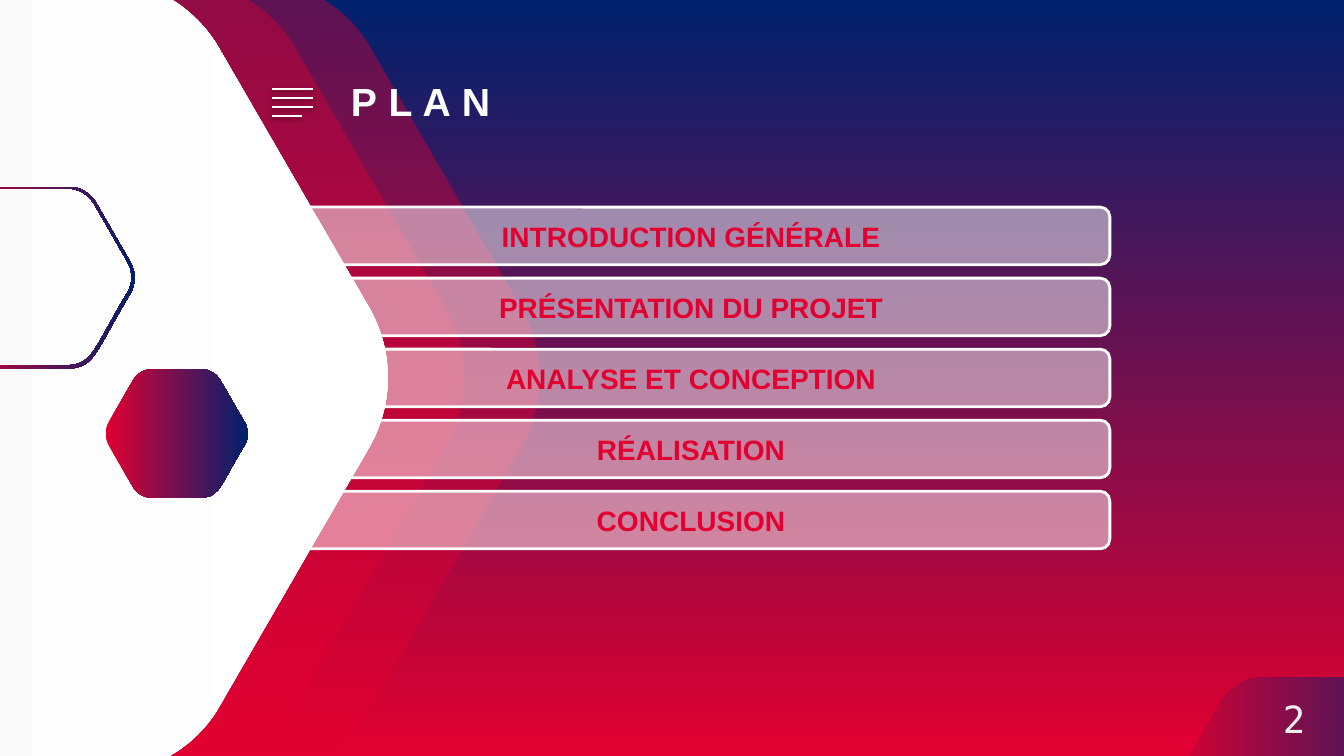
from dataclasses import dataclass

from lxml import etree
from pptx import Presentation
from pptx import util as u
from pptx.dml.color import RGBColor
from pptx.enum import shapes, text
from pptx.oxml.ns import qn

TITLE = "P L A N"
CHAPTERS = [
    "INTRODUCTION GÉNÉRALE",
    "PRÉSENTATION DU PROJET",
    "ANALYSE ET CONCEPTION",
    "RÉALISATION",
    "CONCLUSION",
]
PAGE = "2"


@dataclass(frozen=True)
class Theme:
    navy: str = "00216E"
    red: str = "E20030"
    white: str = "FFFFFF"
    grey: str = "EFEFEF"
    title_color: str = "FEFEFD"
    font: str = "Arial"
    page_font: str = "DejaVu Sans Mono"
    title_size: float = 28
    chapter_size: float = 20
    page_size: float = 26.7


T = Theme()

# Rounded hexagon in cm: steps of one point are lines, of three points are curves.
HEX_WIDTH, HEX_MIDDLE = 22.4, 9.5
HEX_START = (7.44, 0)
HEX_STEPS = [
    [(6.2, 0), (5.03, 0.69), (4.39, 1.78)],
    [(0.64, 8.28)],
    [(0, 9.37), (0, 10.72), (0.64, 11.81)],
    [(1.6, 13.41), (2.31, 14.71), (2.9, 15.75)],
    [(5.06, 19.63), (5.31, 20.09), (8.81, 20.09)],
    [(9.3, 20.09), (9.83, 20.07), (10.44, 20.07)],
    [(11.2, 20.04), (12.12, 20.04), (13.18, 20.04)],
    [(13.72, 20.04), (14.33, 20.04), (14.96, 20.04)],
    [(16.23, 20.04), (17.4, 19.4), (18.01, 18.31)],
    [(21.77, 11.81)],
    [(22.4, 10.72), (22.4, 9.37), (21.77, 8.28)],
    [(18.01, 1.78)],
    [(17.4, 0.69), (16.23, 0), (14.96, 0)],
]

# Contours are (left, top, width, stretch, flipped); two colours run left to right.
HEXAGONS = [
    {"contours": [(-8.64, -0.53, 22.4, 0, False)], "colors": [T.red], "opacity": 41},
    {"contours": [(-10.54, -0.53, 22.4, 0, False)], "colors": [T.red], "opacity": 41},
    {"contours": [(29.16, 17.07, 8.1, 0, False)], "colors": [T.red, T.navy]},
    {"contours": [(-26.59, -0.53, 22.4, 14.12, False)], "colors": [T.grey, T.white]},
    {"contours": [(-1.7, 4.7, 5.13, 0, True), (-1.63, 4.75, 4.98, 0, True)],
     "colors": [T.red, T.navy]},
    {"contours": [(2.64, 9.3, 3.63, 0, True)], "colors": [T.red, T.navy]},
]

TITLE_BOX = (8.59, 1.82, 6.38, 1.45)
PAGE_BOX = (31.37, 17.07, 2.49, 2.08)
BAR_LEFT, BAR_TOP, BAR_WIDTH, BAR_HEIGHT, BAR_PITCH = 6.86, 5.22, 21.11, 1.45, 1.79
ICON_LEFT, ICON_TOP, ICON_PITCH = 6.86, 2.24, 0.23
ICON_WIDTHS = [1.02, 1.02, 1.02, 0.76]


def cm(values):
    return [u.Cm(v) for v in values]


def rgb(color):
    return RGBColor.from_string(color)


def place_contour(left, top, width, stretch, flipped):
    """Scale the hexagon to its width, moving its right half by stretch."""
    scale = width / HEX_WIDTH
    placed = []
    for x, y in [HEX_START] + [point for step in HEX_STEPS for point in step]:
        x = HEX_WIDTH - x if flipped else x + stretch * (x > HEX_MIDDLE)
        placed.append((u.Cm(left + x * scale), u.Cm(top + y * scale)))
    return placed


def round_corners(sp, contour_count):
    """Join the line segments of each three-point step into one curve."""
    lines = iter(list(sp._element.iter(qn("a:lnTo"))))
    for step in HEX_STEPS * contour_count:
        first, *others = [next(lines) for _ in step]
        if others:
            curve = etree.Element(qn("a:cubicBezTo"))
            first.addprevious(curve)
            for line in (first, *others):
                curve.append(line[0])
                line.getparent().remove(line)


def paint(fill, colors, angle=0):
    if len(colors) == 1:
        fill.solid()
        fill.fore_color.rgb = rgb(colors[0])
        return
    fill.gradient()
    fill.gradient_angle = angle
    for stop, color in zip(fill.gradient_stops, colors):
        stop.color.rgb = rgb(color)


def set_opacity(sp, percent):
    color = sp._element.spPr.find(qn("a:solidFill")).find(qn("a:srgbClr"))
    etree.SubElement(color, qn("a:alpha"), val=str(percent * 1000))


def add_hexagon(s, contours, colors, opacity=100):
    """Draw a hexagon and hand it to the slide's layout as template artwork."""
    first, *inner = [place_contour(*contour) for contour in contours]
    builder = s.shapes.build_freeform(*first[0], scale=1.0)
    builder.add_line_segments(first[1:], close=True)
    for contour in inner:
        builder.move_to(*contour[0])
        builder.add_line_segments(contour[1:], close=True)
    sp = builder.convert_to_shape()
    round_corners(sp, len(contours))
    sp.shadow.inherit = False
    sp.line.fill.background()
    paint(sp.fill, colors)
    if opacity < 100:
        set_opacity(sp, opacity)
    tree = s.slide_layout.shapes._spTree
    sp._element.nvSpPr.cNvPr.set("id", str(100 + len(tree)))
    tree.append(sp._element)


def write(sp, words, frame, align, font, color):
    tf = sp.text_frame
    for name, value in frame.items():
        setattr(tf, name, value)
    p = tf.paragraphs[0]
    p.alignment = align
    r = p.add_run()
    r.text = words
    for name, value in font.items():
        setattr(r.font, name, value)
    r.font.color.rgb = rgb(color)
    return r


def add_title(s):
    sp = s.shapes.title
    sp.left, sp.top, sp.width, sp.height = cm(TITLE_BOX)
    frame = {"vertical_anchor": text.MSO_ANCHOR.TOP, "auto_size": text.MSO_AUTO_SIZE.NONE}
    font = {"name": T.font, "size": u.Pt(T.title_size), "bold": True}
    r = write(sp, TITLE, frame, text.PP_ALIGN.LEFT, font, T.title_color)
    r._r.get_or_add_rPr().set("spc", "50")


def add_menu_icon(s):
    icon = s.shapes.add_group_shape()
    for i, width in enumerate(ICON_WIDTHS):
        y = ICON_TOP + i * ICON_PITCH
        line = icon.shapes.add_connector(
            shapes.MSO_CONNECTOR.STRAIGHT, *cm((ICON_LEFT, y, ICON_LEFT + width, y)))
        line.line.color.rgb = rgb(T.white)
        line.line.width = u.Pt(1.5)
        effects = etree.SubElement(line._element.spPr, qn("a:effectLst"))
        shadow = etree.SubElement(effects, qn("a:outerShdw"), blurRad=str(u.Pt(3.1)),
                                  dist=str(u.Pt(1.6)), dir="5400000", rotWithShape="0")
        color = etree.SubElement(shadow, qn("a:srgbClr"), val="000000")
        etree.SubElement(color, qn("a:alpha"), val="38000")


def add_chapters(s):
    frame = {"vertical_anchor": text.MSO_ANCHOR.MIDDLE, "word_wrap": True}
    font = {"name": T.font, "size": u.Pt(T.chapter_size), "bold": True}
    for i, chapter in enumerate(CHAPTERS):
        box = (BAR_LEFT, BAR_TOP + i * BAR_PITCH, BAR_WIDTH, BAR_HEIGHT)
        sp = s.shapes.add_shape(shapes.MSO_SHAPE.ROUNDED_RECTANGLE, *cm(box))
        sp.shadow.inherit = False
        paint(sp.fill, [T.white])
        set_opacity(sp, 50)
        sp.line.color.rgb = rgb(T.white)
        sp.line.width = u.Pt(2)
        write(sp, chapter, frame, text.PP_ALIGN.CENTER, font, T.red)


def add_page_number(s):
    sp = s.shapes.add_textbox(*cm(PAGE_BOX))
    frame = {"vertical_anchor": text.MSO_ANCHOR.MIDDLE, "word_wrap": True,
             "margin_top": u.Cm(0.25), "margin_bottom": u.Cm(0.25)}
    font = {"name": T.page_font, "size": u.Pt(T.page_size)}
    write(sp, PAGE, frame, text.PP_ALIGN.CENTER, font, T.grey)


def main():
    prs = Presentation()
    prs.slide_width, prs.slide_height = cm((33.87, 19.05))
    s = prs.slides.add_slide(prs.slide_layouts[5])
    paint(s.background.fill, [T.navy, T.red], angle=270)
    for hexagon in HEXAGONS:
        add_hexagon(s, **hexagon)
    add_title(s)
    add_menu_icon(s)
    add_chapters(s)
    add_page_number(s)
    prs.save("out.pptx")


if __name__ == "__main__":
    main()
